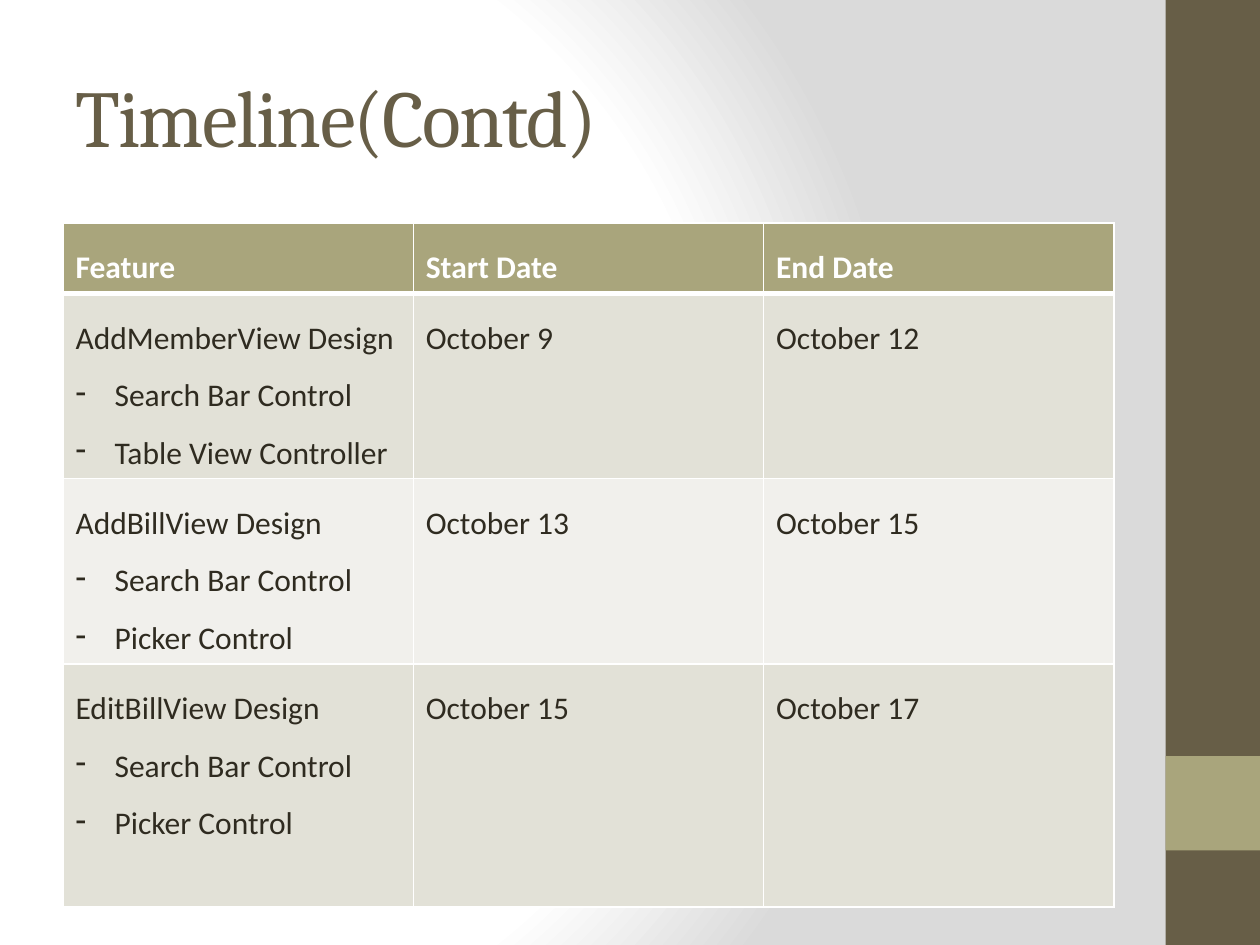
from dataclasses import dataclass

import pptx
import pptx.dml.color
import pptx.enum.shapes
import pptx.enum.text
import pptx.oxml
import pptx.oxml.ns
import pptx.util
from pptx.util import Inches

BROWN, OLIVE, INK, WHITE = "675E47", "A9A57C", "2F2B20", "FFFFFF"
BANDS = ("E2E1D7", "F1F0EC")
COL_W = 2.78
NS = pptx.oxml.ns.nsdecls("a", "p")


@dataclass
class Feature:
    name: str
    controls: tuple[str, ...]
    start: str
    end: str
    height: float = 1.47


HEADERS = ("Feature", "Start Date", "End Date")
FEATURES = (
    Feature("AddMemberView Design", ("Search Bar Control", "Table View Controller"),
            "October 9", "October 12"),
    Feature("AddBillView Design", ("Search Bar Control", "Picker Control"),
            "October 13", "October 15"),
    Feature("EditBillView Design", ("Search Bar Control", "Picker Control"),
            "October 15", "October 17", 1.93),
)


def rgb(color: str) -> pptx.dml.color.RGBColor:
    return pptx.dml.color.RGBColor.from_string(color)


def add_bar(s, top: float, height: float, color: str) -> None:
    sp = s.shapes.add_shape(pptx.enum.shapes.MSO_SHAPE.RECTANGLE,
                            Inches(9.25), Inches(top), Inches(0.75), Inches(height))
    sp.shadow.inherit = False
    sp.fill.solid()
    sp.fill.fore_color.rgb = rgb(color)
    sp.line.fill.background()


def write(p, text: str, *, size: float = 18, font: str = "Calibri", color: str = INK,
          bold: bool = False, line_spacing: float = 1.5, bullet: str = "",
          tracking: int = 0) -> None:
    p.line_spacing = line_spacing
    if bullet:
        pPr = p._p.get_or_add_pPr()
        pPr.set("marL", str(Inches(0.31)))
        pPr.set("indent", str(-Inches(0.31)))
        pPr.append(pptx.oxml.parse_xml(f'<a:buChar {NS} char="{bullet}"/>'))
    r = p.add_run()
    r.text = text
    r.font.size = pptx.util.Pt(size)
    r.font.name = font
    r.font.bold = bold
    r.font.color.rgb = rgb(color)
    if tracking:
        r._r.get_or_add_rPr().set("spc", str(tracking))


def style_cell(cell, fill: str, top: int = 1, bottom: int = 1) -> None:
    tcPr = cell._tc.get_or_add_tcPr()
    for side, width in (("L", 1), ("R", 1), ("T", top), ("B", bottom)):
        tcPr.append(pptx.oxml.parse_xml(
            f'<a:ln{side} {NS} w="{pptx.util.Pt(width)}"><a:solidFill>'
            f'<a:srgbClr val="{WHITE}"/></a:solidFill></a:ln{side}>'))
    cell.fill.solid()
    cell.fill.fore_color.rgb = rgb(fill)


def set_background(s) -> None:
    stops = "".join(f'<a:gs pos="{pos * 1000}"><a:srgbClr val="{color}"/></a:gs>'
                    for pos, color in ((0, WHITE), (75, WHITE), (100, "DADADA")))
    s._element.cSld.insert(0, pptx.oxml.parse_xml(
        f'<p:bg {NS}><p:bgPr><a:gradFill rotWithShape="1"><a:gsLst>{stops}</a:gsLst>'
        '<a:path path="circle"><a:fillToRect l="20000" t="50000" r="100000" b="50000"/>'
        '</a:path></a:gradFill><a:effectLst/></p:bgPr></p:bg>'))


def add_title(s, text: str) -> None:
    tf = s.shapes.add_textbox(Inches(0.5), Inches(0.29), Inches(8.33), Inches(1.25)).text_frame
    tf.word_wrap = True
    tf.vertical_anchor = pptx.enum.text.MSO_ANCHOR.MIDDLE
    write(tf.paragraphs[0], text, size=46, font="Cambria", color=BROWN,
          line_spacing=1.0, tracking=-100)


def add_timeline(s) -> None:
    heights = [0.56] + [f.height for f in FEATURES]
    table = s.shapes.add_table(len(heights), len(HEADERS), Inches(0.5), Inches(1.77),
                               Inches(COL_W * len(HEADERS)), Inches(sum(heights))).table
    for col in table.columns:
        col.width = Inches(COL_W)
    for row, height in zip(table.rows, heights):
        row.height = Inches(height)

    # Header row
    for c, text in enumerate(HEADERS):
        cell = table.cell(0, c)
        style_cell(cell, OLIVE, bottom=3)
        write(cell.text_frame.paragraphs[0], text, color=WHITE, bold=True)

    # One banded row per feature
    for i, f in enumerate(FEATURES):
        for c, text in enumerate((f.name, f.start, f.end)):
            cell = table.cell(i + 1, c)
            style_cell(cell, BANDS[i % 2], top=3 if i == 0 else 1)
            write(cell.text_frame.paragraphs[0], text)
        tf = table.cell(i + 1, 0).text_frame
        for control in f.controls:
            write(tf.add_paragraph(), control, bullet="-")


def main() -> None:
    prs = pptx.Presentation()
    prs.slide_width, prs.slide_height = Inches(10), Inches(7.5)
    s = prs.slides.add_slide(prs.slide_layouts[6])
    set_background(s)
    # Side bar with accent square
    add_bar(s, 0, 7.5, BROWN)
    add_bar(s, 6, 0.75, OLIVE)
    add_title(s, "Timeline(Contd)")
    add_timeline(s)
    prs.save("out.pptx")


if __name__ == "__main__":
    main()
